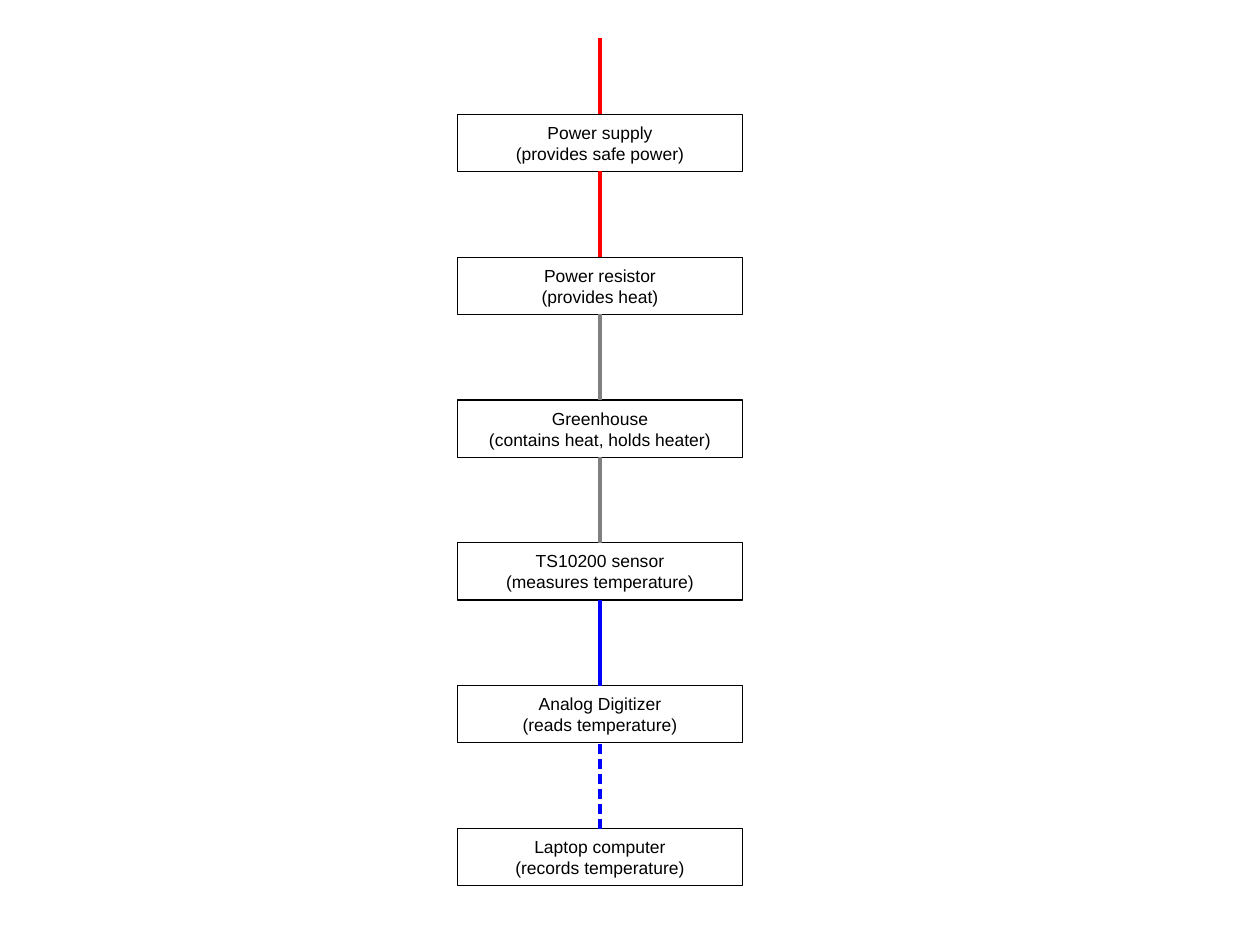
from lxml import etree
from pptx import Presentation
from pptx import util as u
from pptx.dml.color import RGBColor
from pptx.enum import shapes, text
from pptx.oxml.ns import qn

COLORS = {"ink": "000000", "power": "FF0000", "heat": "808080", "data": "0000FF"}

# Name, role, colour of the link that enters from above, dashed link
STAGES = [
    ("Power supply", "(provides safe power)", "power", False),
    ("Power resistor", "(provides heat)", "power", False),
    ("Greenhouse", "(contains heat, holds heater)", "heat", False),
    ("TS10200 sensor", "(measures temperature)", "heat", False),
    ("Analog Digitizer", "(reads temperature)", "data", False),
    ("Laptop computer", "(records temperature)", "data", True),
]
CM_PER_INCH = 2.54
SLIDE_CM = (28, 21)
LEFT, FIRST_TOP, PITCH = 4, 1, 1.25
WIDTH, HEIGHT = 2.5, 0.5
FIRST_LINK_TOP = 0.33
TOP_SITE, BOTTOM_SITE = 0, 2


class ChainSlide:
    font_format = {"name": "Arial", "size": u.Pt(11)}
    frame_format = {
        "word_wrap": False,
        "vertical_anchor": text.MSO_ANCHOR.MIDDLE,
        "margin_left": u.Inches(0.1),
        "margin_right": u.Inches(0.1),
        "margin_top": u.Inches(0.05),
        "margin_bottom": u.Inches(0.05),
    }
    link_width = u.Pt(2.89)

    def __init__(self, slide):
        self.slide = slide

    def color(self, name):
        return RGBColor.from_string(COLORS[name])

    def apply(self, target, values):
        for name, value in values.items():
            setattr(target, name, value)

    def box(self, top, lines):
        shape = self.slide.shapes.add_shape(
            shapes.MSO_SHAPE.RECTANGLE,
            u.Inches(LEFT), u.Inches(top), u.Inches(WIDTH), u.Inches(HEIGHT))
        shape.shadow.inherit = False
        shape.fill.background()
        shape.line.color.rgb = self.color("ink")
        shape.line.width = u.Pt(0)
        frame = shape.text_frame
        self.apply(frame, self.frame_format)
        frame.text = "\n".join(lines)
        for paragraph in frame.paragraphs:
            paragraph.alignment = text.PP_ALIGN.CENTER
            self.apply(paragraph.font, self.font_format)
            paragraph.font.color.rgb = self.color("ink")
        return shape

    def link(self, lower, upper, color, dashed):
        x = u.Inches(LEFT + WIDTH / 2)
        connector = self.slide.shapes.add_connector(
            shapes.MSO_CONNECTOR.STRAIGHT,
            x, lower.top, x, u.Inches(FIRST_LINK_TOP))
        connector.begin_connect(lower, TOP_SITE)
        if upper is not None:
            connector.end_connect(upper, BOTTOM_SITE)
        connector.line.color.rgb = self.color(color)
        connector.line.width = self.link_width
        if dashed:
            outline = connector._element.spPr.find(qn("a:ln"))
            dashes = etree.SubElement(outline, qn("a:custDash"))
            etree.SubElement(dashes, qn("a:ds"), d="200000", sp="127000")
        etree.SubElement(connector._element.spPr, qn("a:effectLst"))


def main():
    presentation = Presentation()
    presentation.slide_width, presentation.slide_height = (
        u.Inches(side / CM_PER_INCH) for side in SLIDE_CM)
    chain = ChainSlide(presentation.slides.add_slide(presentation.slide_layouts[6]))

    # Boxes, evenly spaced from top to bottom
    boxes = [chain.box(FIRST_TOP + row * PITCH, (name, role))
             for row, (name, role, _, _) in enumerate(STAGES)]

    # Links, each from a box up to the one before it
    for lower, upper, (_, _, color, dashed) in zip(boxes, [None] + boxes, STAGES):
        chain.link(lower, upper, color, dashed)

    presentation.save("out.pptx")


if __name__ == "__main__":
    main()
